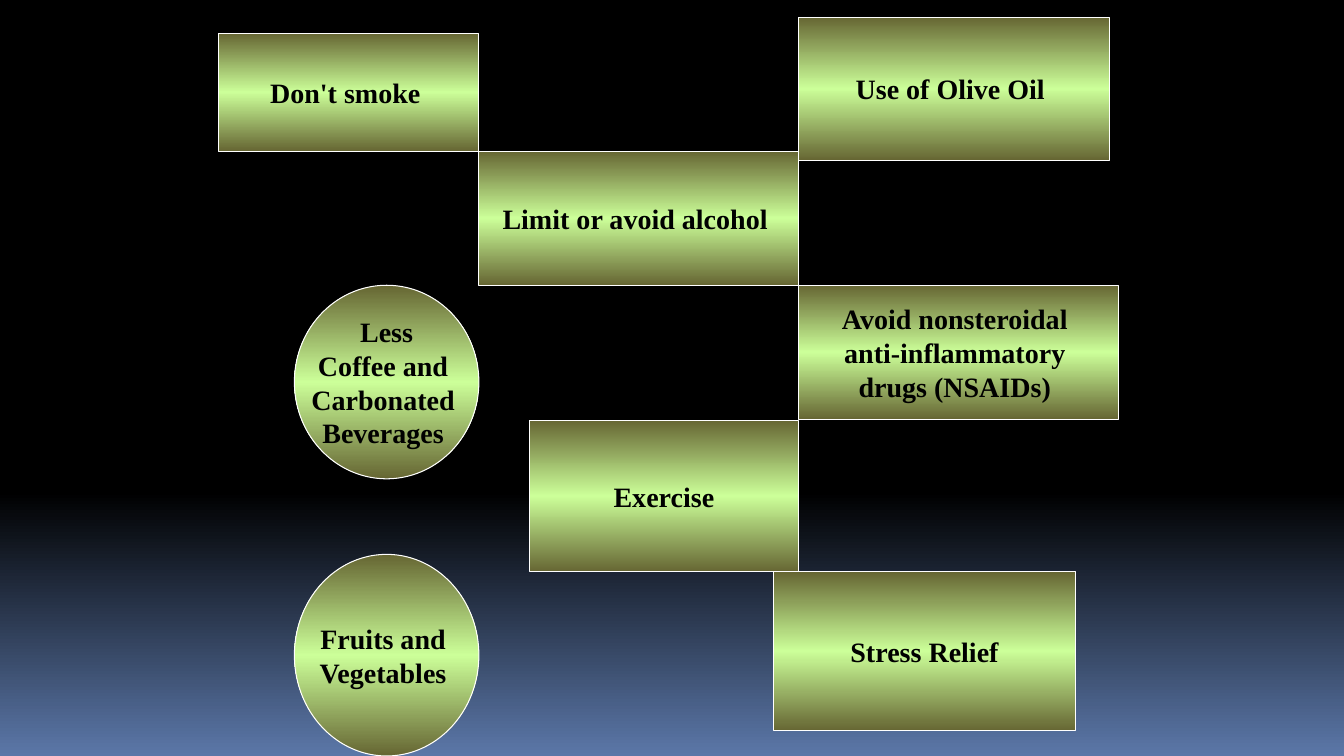
from lxml.etree import SubElement
from pptx import Presentation
from pptx.dml.color import RGBColor
from pptx.enum.shapes import MSO_SHAPE
from pptx.enum.text import MSO_ANCHOR, PP_ALIGN
from pptx.oxml.ns import qn
from pptx.util import Inches, Pt

COLORS = {
    "black": "000000",
    "blue": "5B77A8",
    "olive": "666633",
    "lime": "CCFF99",
    "white": "FFFFFF",
}
BACKGROUND_STOPS = [(0, "black"), (65, "black"), (100, "blue")]
TIP_STOPS = [(0, "olive"), (50, "lime"), (100, "olive")]
BOX = MSO_SHAPE.RECTANGLE
CIRCLE = MSO_SHAPE.OVAL
TIPS = [
    (BOX, 2.17, 0.33, 2.58, 1.17, "Don't smoke "),
    (BOX, 4.75, 1.5, 3.17, 1.33, "Limit or avoid alcohol "),
    (BOX, 7.92, 2.83, 3.17, 1.33, "Avoid nonsteroidal \nanti-inflammatory \ndrugs (NSAIDs) "),
    (CIRCLE, 2.92, 5.5, 1.83, 2, "Fruits and \nVegetables "),
    (CIRCLE, 2.92, 2.83, 1.83, 1.92, "Less\nCoffee and \nCarbonated \nBeverages "),
    (BOX, 7.92, 0.17, 3.08, 1.42, "Use of Olive Oil "),
    (BOX, 5.25, 4.17, 2.67, 1.5, "Exercise"),
    (BOX, 7.67, 5.67, 3, 1.58, "Stress Relief"),
]


def set_gradient(fill, element, stops):
    fill.gradient()
    fill.gradient_angle = 270
    stop_list = element.xpath(".//a:gsLst")[0]
    for old_stop in list(stop_list):
        stop_list.remove(old_stop)
    for percent, color in stops:
        stop = SubElement(stop_list, qn("a:gs"), pos=str(percent * 1000))
        SubElement(stop, qn("a:srgbClr"), val=COLORS[color])


presentation = Presentation()
presentation.slide_width = Inches(13.33)
presentation.slide_height = Inches(7.5)
slide = presentation.slides.add_slide(presentation.slide_layouts[6])
set_gradient(slide.background.fill, slide.element, BACKGROUND_STOPS)

for kind, left, top, width, height, text in TIPS:
    shape = slide.shapes.add_shape(
        kind, Inches(left), Inches(top), Inches(width), Inches(height)
    )
    shape.shadow.inherit = False
    set_gradient(shape.fill, shape.element, TIP_STOPS)
    shape.line.color.rgb = RGBColor.from_string(COLORS["white"])
    shape.line.width = Pt(0.75)
    text_frame = shape.text_frame
    text_frame.text = text
    text_frame.word_wrap = False
    text_frame.vertical_anchor = MSO_ANCHOR.MIDDLE
    for paragraph in text_frame.paragraphs:
        paragraph.alignment = PP_ALIGN.CENTER
        for run in paragraph.runs:
            run.font.name = "Times New Roman"
            run.font.size = Pt(20)
            run.font.bold = True
            run.font.color.rgb = RGBColor.from_string(COLORS["black"])

presentation.save("out.pptx")
